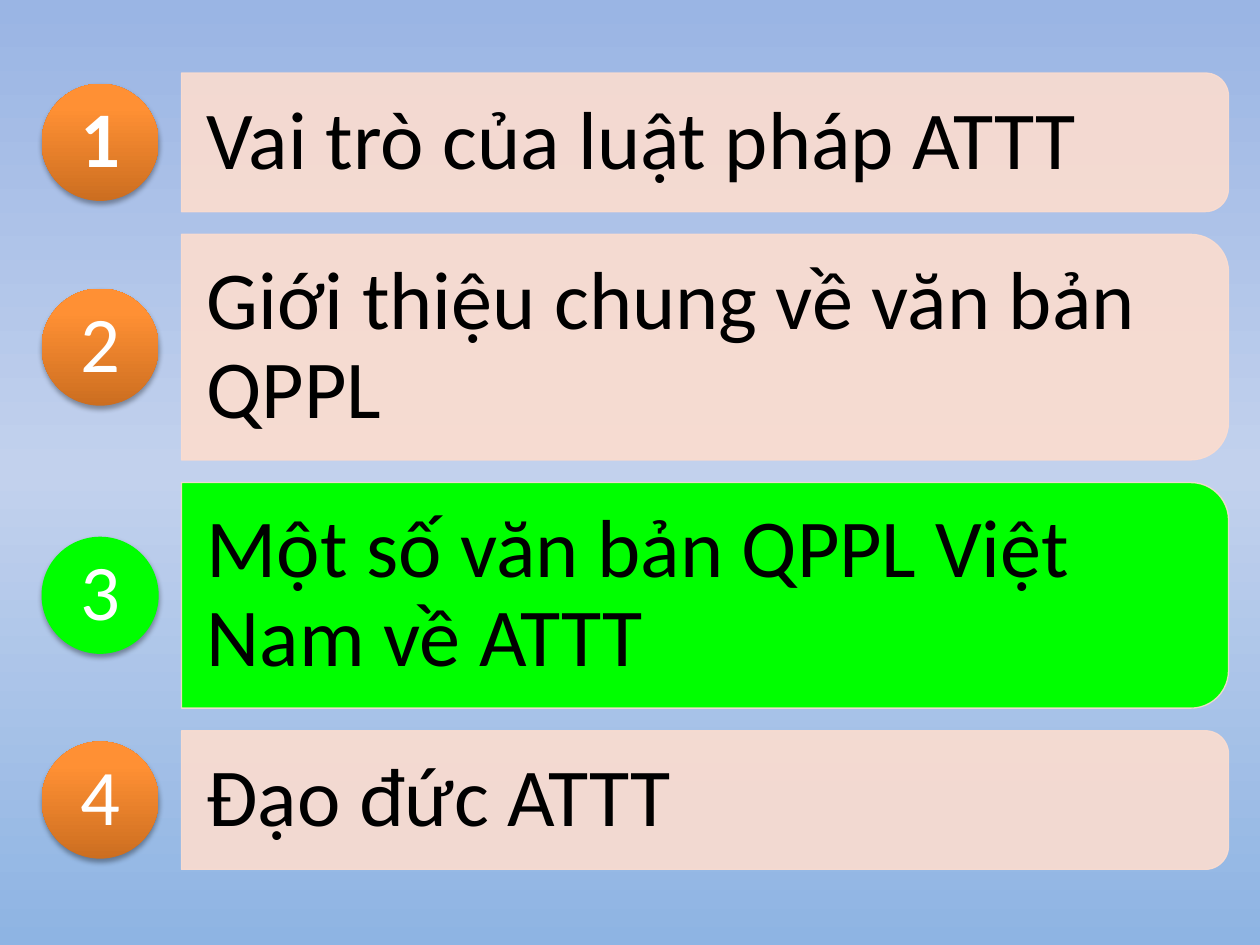
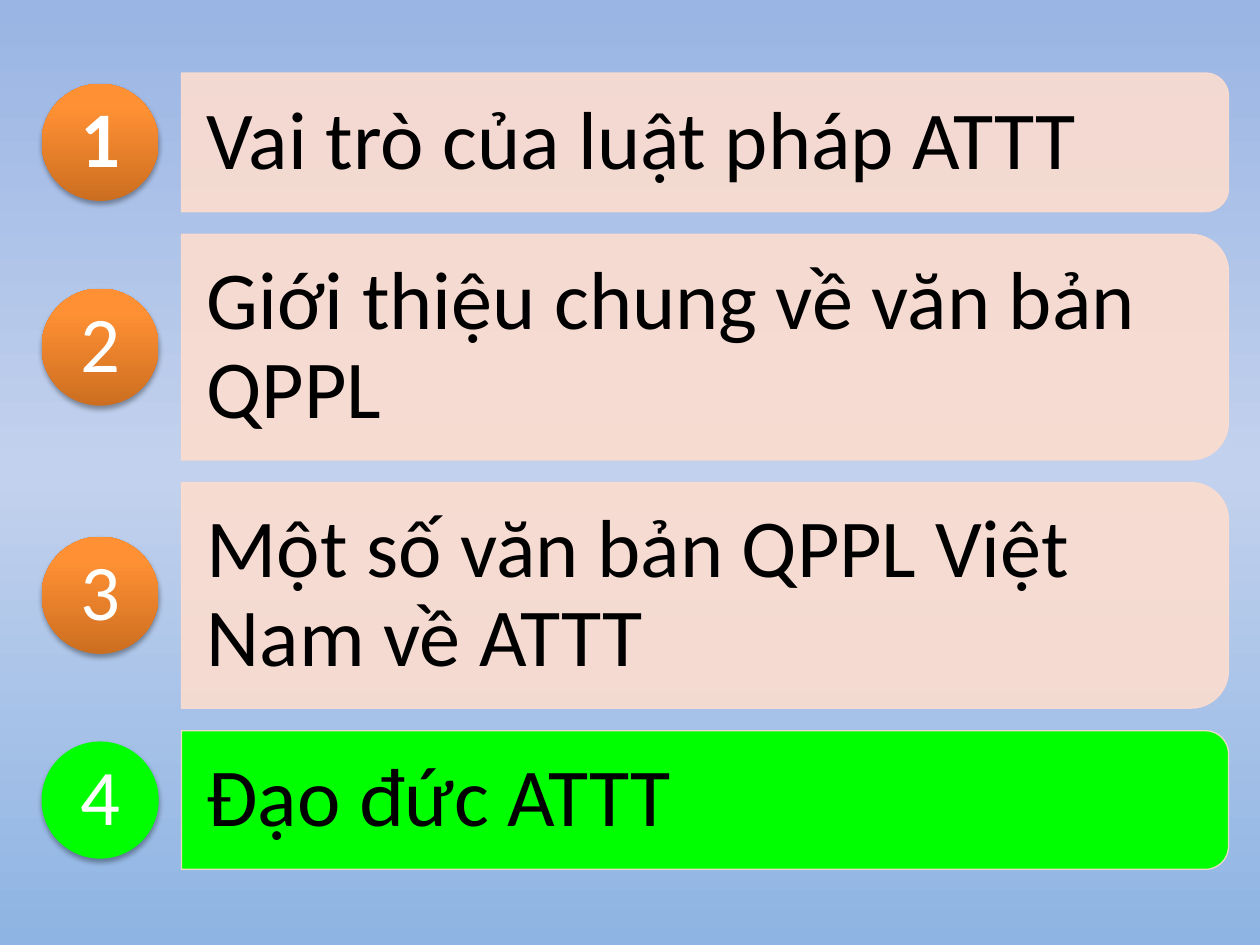
import pptx
import pptx.util
import pptx.dml.color
import pptx.enum.shapes
import pptx.enum.text
import pptx.oxml
import pptx.oxml.ns
import lxml.etree

Inches = pptx.util.Inches
Pt = pptx.util.Pt
Shape = pptx.enum.shapes.MSO_SHAPE
Align = pptx.enum.text.PP_ALIGN
Anchor = pptx.enum.text.MSO_ANCHOR
qn = pptx.oxml.ns.qn

SKY = [(0, "9AB5E4"), (50, "C2D1ED"), (100, "8EB4E3")]
ORANGE = [(0, "CC6E20"), (80, "FF9034"), (100, "FF9136")]
PEACH, GREEN = "FCDDCF", "00FF00"
SHADE = (
    '<a:outerShdw xmlns:a="http://schemas.openxmlformats.org/drawingml/2006/main" '
    'blurRad="39370" dist="22860" dir="5400000" rotWithShape="0">'
    '<a:srgbClr val="000000"><a:alpha val="35000"/></a:srgbClr></a:outerShdw>'
)

TOPICS = [
    ("Vai trò của luật pháp ATTT", 1.1),
    ("Giới thiệu chung về văn bản QPPL", 1.79),
    ("Một số văn bản QPPL Việt Nam về ATTT", 1.79),
    ("Đạo đức ATTT", 1.1),
]
LEFT, WIDTH, TOP, GAP, DISC = 1.44, 8.31, 0.58, 0.18, 0.93

BAR = {
    "frame": {"word_wrap": True, "vertical_anchor": Anchor.MIDDLE,
              "margin_left": Inches(0.2), "margin_right": Inches(0.2),
              "margin_top": Inches(0.13), "margin_bottom": Inches(0.13)},
    "para": {"alignment": Align.LEFT, "line_spacing": 0.9},
    "font": {"name": "Calibri", "size": Pt(47), "bold": False},
    "ink": "000000",
}
BADGE = {
    "frame": {"word_wrap": True, "vertical_anchor": Anchor.MIDDLE,
              "margin_left": 0, "margin_right": 0,
              "margin_top": 0, "margin_bottom": 0},
    "para": {"alignment": Align.CENTER, "line_spacing": 0.9},
    "font": {"name": "Calibri", "size": Pt(45), "bold": False},
    "ink": "FFFFFF",
}


def paint(fill, tint, root=None, angle=270):
    if isinstance(tint, str):
        fill.solid()
        fill.fore_color.rgb = pptx.dml.color.RGBColor.from_string(tint)
        return
    fill.gradient()
    fill.gradient_angle = angle
    stops = next(root.iter(qn("a:gsLst")))
    for stop in list(stops):
        stops.remove(stop)
    for spot, shade in tint:
        stop = lxml.etree.SubElement(stops, qn("a:gs"), pos=str(spot * 1000))
        lxml.etree.SubElement(stop, qn("a:srgbClr"), val=shade)


def write(shape, text, style):
    frame = shape.text_frame
    para = frame.paragraphs[0]
    run = para.add_run()
    run.text = text
    for part, key in ((frame, "frame"), (para, "para"), (run.font, "font")):
        for name, value in style[key].items():
            setattr(part, name, value)
    paint(run.font.fill, style["ink"])


deck = pptx.Presentation()
deck.slide_width = Inches(10)
deck.slide_height = Inches(7.5)
master = deck.slide_master
paint(master.background.fill, SKY, master.element)

for active in (3, 4):
    slide = deck.slides.add_slide(deck.slide_layouts[6])
    top = TOP
    for number, (topic, height) in enumerate(TOPICS, 1):
        lit = number == active
        middle = top + height / 2

        bar = slide.shapes.add_shape(
            Shape.ROUND_2_SAME_RECTANGLE,
            Inches(LEFT + (WIDTH - height) / 2), Inches(middle - WIDTH / 2),
            Inches(height), Inches(WIDTH))
        bar.rotation = 90
        bar.shadow.inherit = False
        paint(bar.fill, GREEN if lit else PEACH)
        paint(bar.line.fill, PEACH)
        bar.line.width = Pt(0.75)
        for tone in bar.element.spPr.iter(qn("a:srgbClr")):
            if tone.get("val") == PEACH:
                lxml.etree.SubElement(tone, qn("a:alpha"), val="90000")

        inset = height * 0.05
        label = slide.shapes.add_textbox(
            Inches(LEFT), Inches(top + inset),
            Inches(WIDTH - inset), Inches(height - 2 * inset))
        write(label, topic, BAR)

        badge = slide.shapes.add_shape(
            Shape.OVAL, Inches(0.33), Inches(middle - DISC / 2),
            Inches(DISC), Inches(DISC))
        paint(badge.fill, GREEN if lit else ORANGE, badge.element, 90)
        badge.line.fill.background()
        badge.shadow.inherit = False
        badge.element.spPr.find(qn("a:effectLst")).append(pptx.oxml.parse_xml(SHADE))
        write(badge, str(number), BADGE)
        badge.text_frame.paragraphs[0].runs[0].font.bold = number == 1

        top += height + GAP

deck.save("out.pptx")
